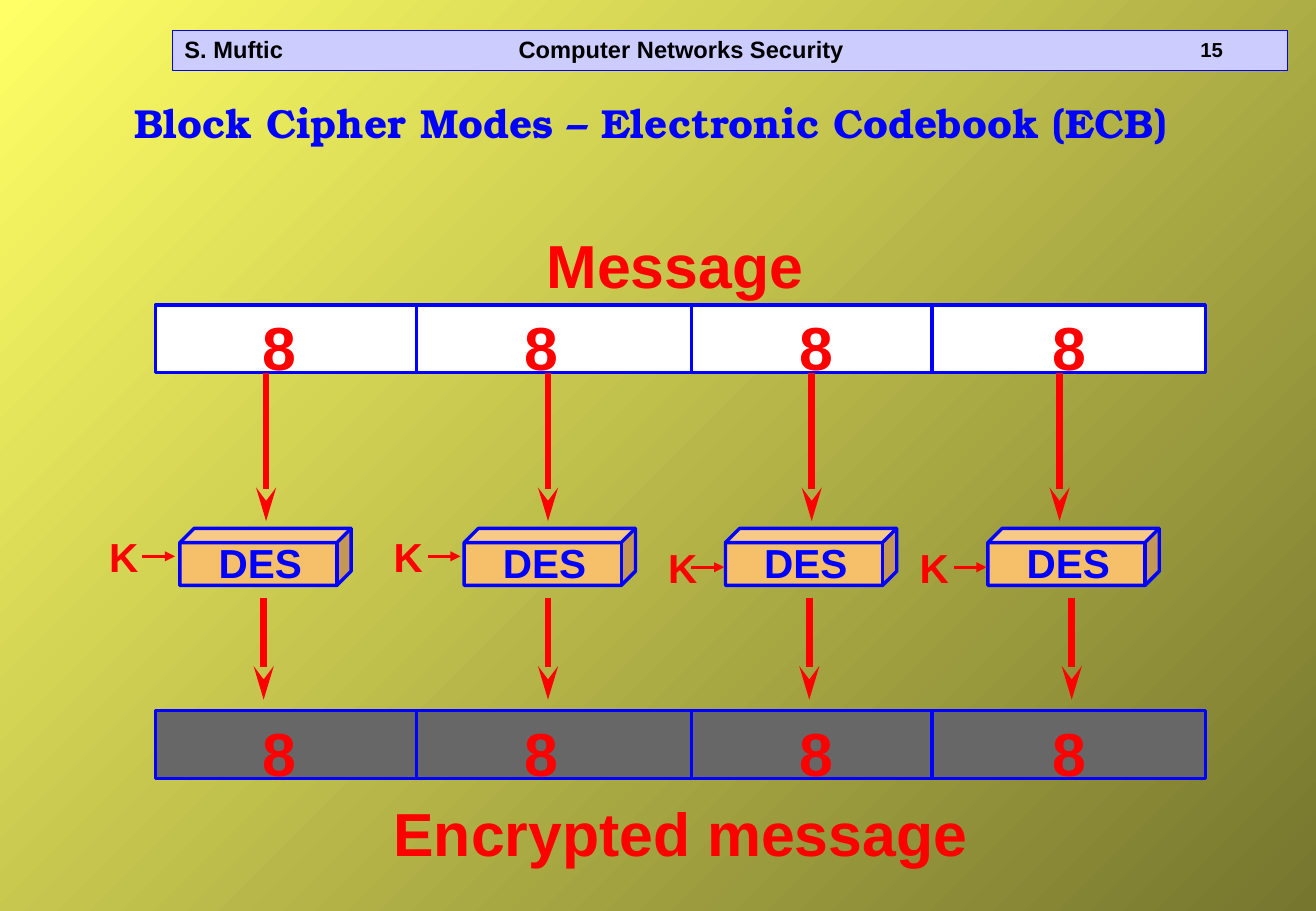
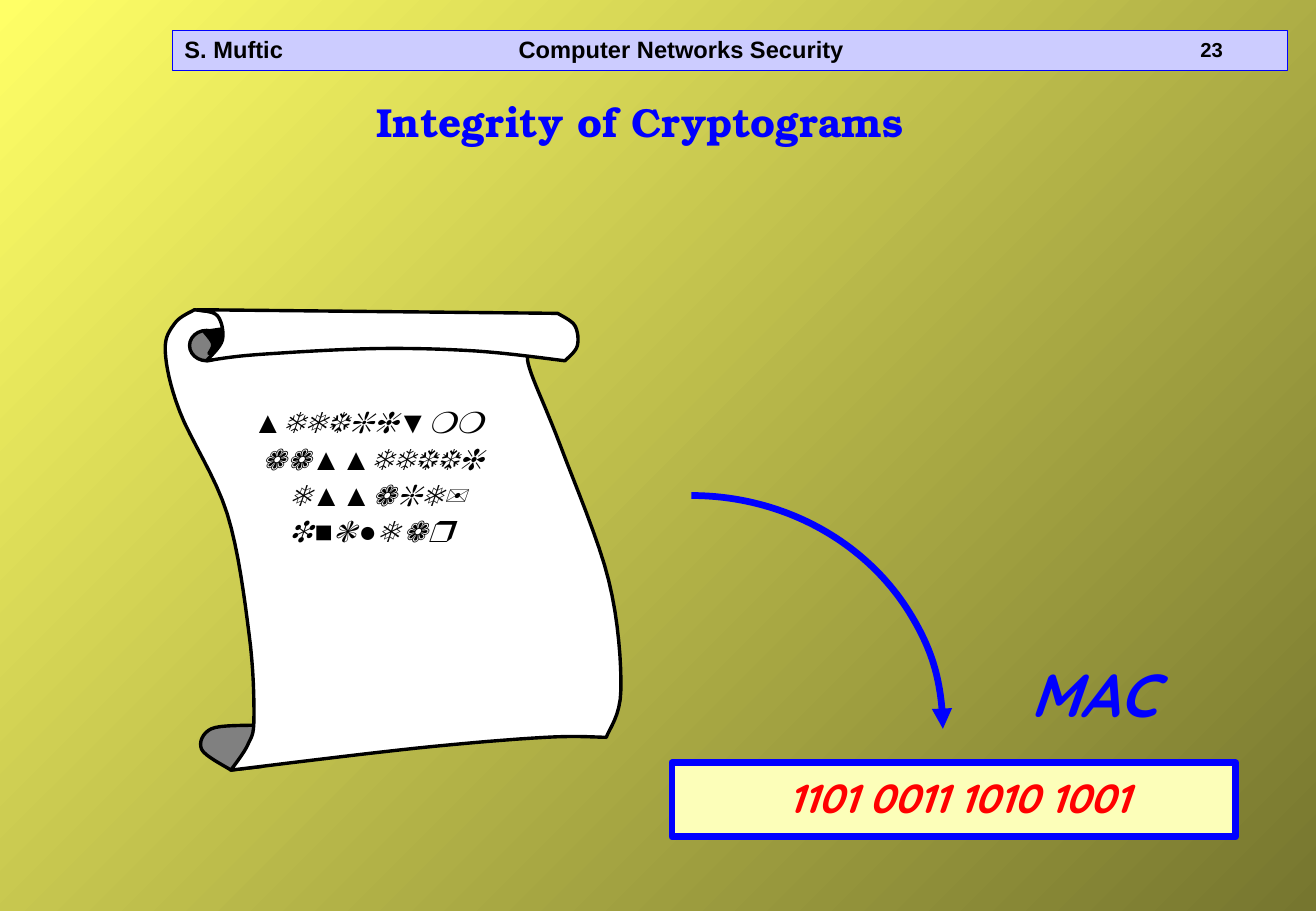
from lxml.etree import SubElement
from pptx import Presentation
from pptx.dml.color import RGBColor
from pptx.enum.shapes import MSO_CONNECTOR as Link, MSO_SHAPE as Kind
from pptx.enum.text import MSO_ANCHOR as Anchor, PP_ALIGN as Align
from pptx.oxml.ns import qn
from pptx.util import Pt

PX = 9144  # 100 px to the inch
BLUE, RED, BLACK, WHITE = "0000FF", "FF0000", "000000", "FFFFFF"
GREY, SLATE, LILAC, CREAM, AMBER = "808080", "676767", "CCCCFF", "FCFEB9", "F6BF69"
SANS, SERIF, ROUND = "Arial", "TeX Gyre Bonum", "Quicksand"
SMALL, LONG = ("triangle", "med"), ("stealth", "lg")  # arrowhead type, length
hue = RGBColor.from_string


def paint(shape, fill, edge, weight, head=None):
    """Set fill, line and arrowhead, and drop the shadow."""
    props = shape._element.spPr
    if not hasattr(shape, "fill"):  # a connector
        SubElement(props, qn("a:effectLst"))
    else:
        shape.shadow.inherit = False
        if fill:
            shape.fill.solid()
            shape.fill.fore_color.rgb = hue(fill)
        else:
            shape.fill.background()
    shape.line.color.rgb = hue(edge)
    shape.line.width = Pt(weight)
    if head:
        SubElement(props.find(qn("a:ln")), qn("a:tailEnd"),
                   type=head[0], w="med", len=head[1])


def write(para, text, size, tone, font=SANS, slant=False):
    run = para.add_run()
    run.text = text
    run.font.size, run.font.name = Pt(size), font
    run.font.bold, run.font.italic = True, slant
    run.font.color.rgb = hue(tone)


deck = Presentation()
deck.slide_width, deck.slide_height = 1083 * PX, 750 * PX
back = deck.slide_master.background.fill
back.gradient()
back.gradient_angle = 135
for stop, tone in zip(back.gradient_stops, ("76762F", "FFFF66")):
    stop.color.rgb = hue(tone)

# Both slides: header band, page number and title
pages = []
for num, title, spot in (
    ("15", "Block Cipher Modes – Electronic Codebook (ECB)", (101, 76, 870, 50)),
    ("23", "Integrity of Cryptograms", (300, 75, 474, 50)),
):
    shapes = deck.slides.add_slide(deck.slide_layouts[6]).shapes
    pages.append(shapes)
    band = shapes.add_shape(Kind.RECTANGLE, *[n * PX for n in (142, 25, 917, 33)])
    paint(band, LILAC, BLUE, 0.25)
    band.text_frame.vertical_anchor = Anchor.MIDDLE
    para = band.text_frame.paragraphs[0]
    tabs = SubElement(para._p.get_or_add_pPr(), qn("a:tabLst"))
    SubElement(tabs, qn("a:tab"), pos=str(275 * PX), algn="l")
    para.alignment, para.line_spacing = Align.LEFT, 0.9
    write(para, "S. Muftic\tComputer Networks Security", 14, BLACK)
    for box, *words in (((978, 26, 100, 30), num, 12, BLACK),
                        (spot, title, 24, BLUE, SERIF)):
        note = shapes.add_textbox(*[n * PX for n in box])
        write(note.text_frame.paragraphs[0], *words)
ecb, mac = pages

# Slide 1: a row of message blocks above, encrypted blocks below
labels = [((440, 183, 231, 70), "Message", 36, RED),
          ((314, 650, 493, 70), "Encrypted message", 36, RED)]
blocks, lines = [], []
for top, fill in ((251, WHITE), (585, SLATE)):
    blocks.append((Kind.RECTANGLE, (128, top, 864, 56), fill))
    for x in (343, 569, 767):
        lines.append(((x, top - 1, x, top + 57), BLUE, 2, None))
    for x in (206, 422, 648, 856):
        labels.append(((x, top - 1, 62, 70), "8", 36, RED))

# Between the rows, four DES boxes: left of box, arrow in, K, key arrow, its height
for cube, drop, key, feed, y in (
    (148, 219, 80, 117, 458),
    (382, 451, 314, 352, 458),
    (597, 668, 540, 569, 467),
    (813, 872, 747, 785, 467),
):
    mid = cube + 69
    blocks.append((Kind.CUBE, (cube, 435, 141, 47), AMBER))
    labels += [((cube + 22, 438, 89, 50), "DES", 24, BLUE),
               ((key, y - 25, 38, 50), "K", 24, RED)]
    lines += [((feed, y, feed + 27, y), RED, 2, SMALL),
              ((drop, 307, drop, 429), RED, 4, LONG),
              ((mid, 492, mid, 576), RED, 4, LONG)]

for kind, box, fill in blocks:
    paint(ecb.add_shape(kind, *[n * PX for n in box]), fill, BLUE, 2)
for ends, *style in lines:
    link = ecb.add_connector(Link.STRAIGHT, *[n * PX for n in ends])
    paint(link, None, *style)
for box, *words in labels:
    note = ecb.add_textbox(*[n * PX for n in box])
    write(note.text_frame.paragraphs[0], *words)

# Slide 2: the scroll. Each edge is a smooth curve through a few points;
# an outline is a chain of edges, with a corner wherever two edges meet.
left = [(160, 255), (144, 266), (136, 289), (148, 339), (187, 423),
        (205, 522), (209, 591), (204, 613), (190, 634)]
foot = [(190, 634), (342, 616), (449, 607), (499, 607)]
right = [(499, 607), (511, 568), (501, 478), (462, 369), (436, 304), (436, 289)]

curl = [(209, 597), (174, 600), (166, 617), (190, 634)]
tuck = [(216, 631), (233, 597)]

hollow = [(168, 273), (175, 283), (172, 291)]
inner = [(190, 287), (188, 270)]

ridge = [(162, 255), (459, 258)]
cap = [(459, 258), (473, 268), (475, 285), (465, 297)]
under = [(465, 297), (392, 289), (308, 287), (211, 292), (170, 297)]
lip = [(170, 297), (183, 280), (179, 260), (162, 255)]

STEPS = 8
eye = mac.add_shape(Kind.OVAL, *[n * PX for n in (156, 272, 28, 25)])
for edges, fill in (((curl, tuck), GREY), ((left, foot, right), WHITE),
                    ((hollow, inner), BLACK), ((ridge, cap, under, lip), WHITE)):
    dots = []
    for edge in edges:
        ring = edge[:1] + edge + edge[-1:]
        dots.append(edge[0])
        # Catmull-Rom curve from b to c, steered by neighbours a and d
        for a, b, c, d in zip(ring, ring[1:], ring[2:], ring[3:]):
            for t in (n / STEPS for n in range(1, STEPS + 1)):
                dots.append([
                    q + t * (r - p + t * (2 * p - 5 * q + 4 * r - s
                                          + t * (3 * q - p - 3 * r + s))) / 2
                    for p, q, r, s in zip(a, b, c, d)])
    dots = [(x * PX, y * PX) for x, y in dots]
    pen = mac.build_freeform(*dots[0])
    pen.add_line_segments(dots[1:], close=True)
    paint(pen.convert_to_shape(), fill, BLACK, 2)
    if edges[0] is left:  # the eye lies on the sheet, under the roll
        paint(eye, GREY, BLACK, 2)
        mac._spTree.append(eye._element)

arc = mac.add_shape(Kind.ARC, *[n * PX for n in (362, 408, 414, 384)])
paint(arc, None, BLUE, 4, SMALL)

code = mac.add_shape(Kind.RECTANGLE, *[n * PX for n in (553, 628, 464, 61)])
paint(code, CREAM, BLUE, 4)
code.text_frame.vertical_anchor = Anchor.MIDDLE
code.text_frame.margin_left = 18 * PX
para = code.text_frame.paragraphs[0]
para.alignment, para.line_spacing = Align.CENTER, 0.9
write(para, "1101 0011 1010 1001", 24, RED, ROUND, True)

name = mac.add_textbox(*[n * PX for n in (838, 536, 218, 70)])
write(name.text_frame.paragraphs[0], "MAC", 36, BLUE, ROUND, True)

cipher = mac.add_textbox(*[n * PX for n in (204, 330, 271, 158)]).text_frame
cipher.word_wrap = True
cipher.margin_left = cipher.margin_right = 4 * PX
cipher.margin_top = cipher.margin_bottom = 2 * PX
for i, (text, inset) in enumerate((("▲❄❅❆❇❈▼❍❍", 0), ("❁❁▲▲❄❄❆❆❈", 7),
                                   ("❅▲▲❁❇❅✉", 30), ("❉■❃●❅❁❒", 30))):
    para = cipher.add_paragraph() if i else cipher.paragraphs[0]
    para._p.get_or_add_pPr().set("marL", str(inset * PX))
    write(para, text, 18, BLACK, slant=True)

deck.save("out.pptx")
